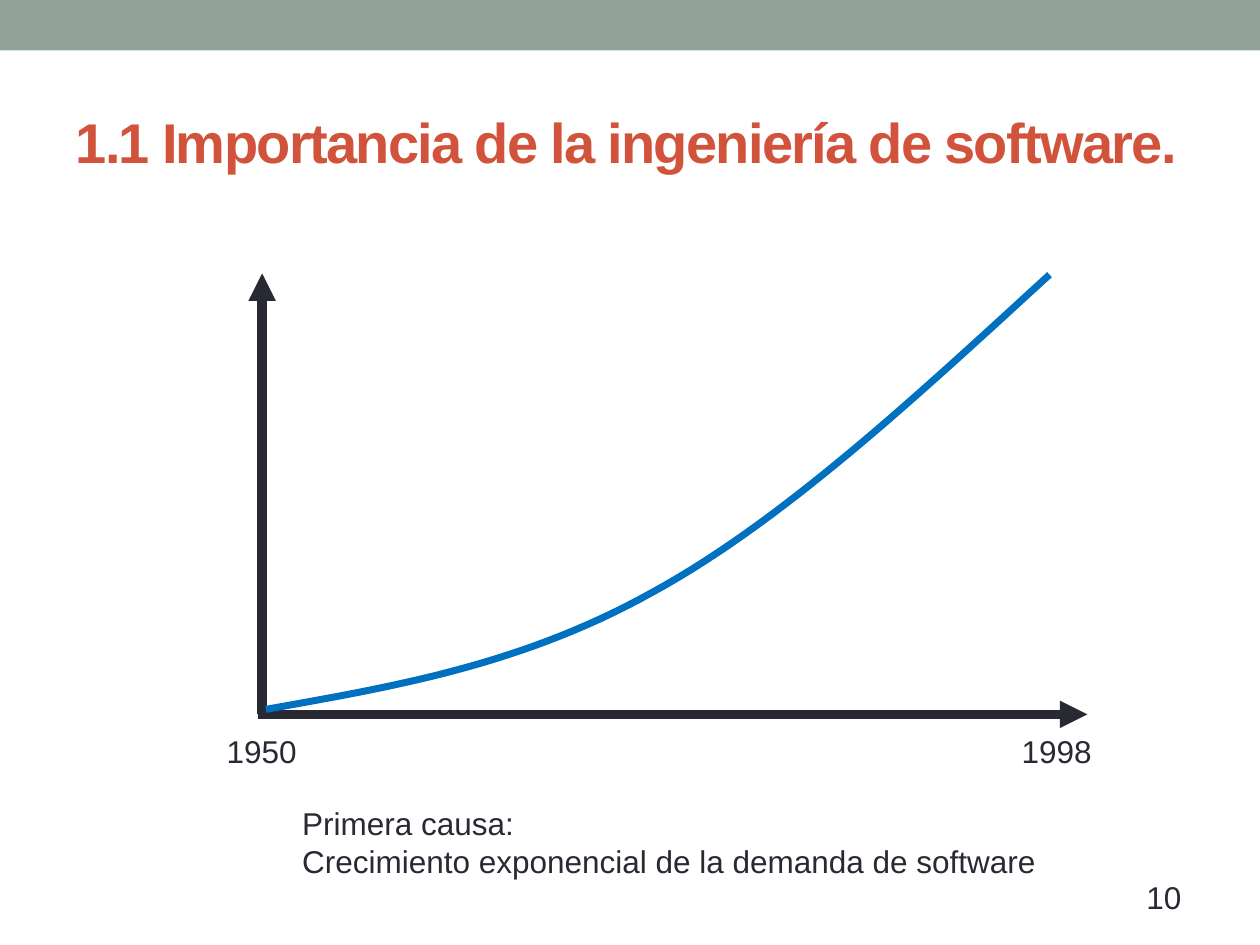
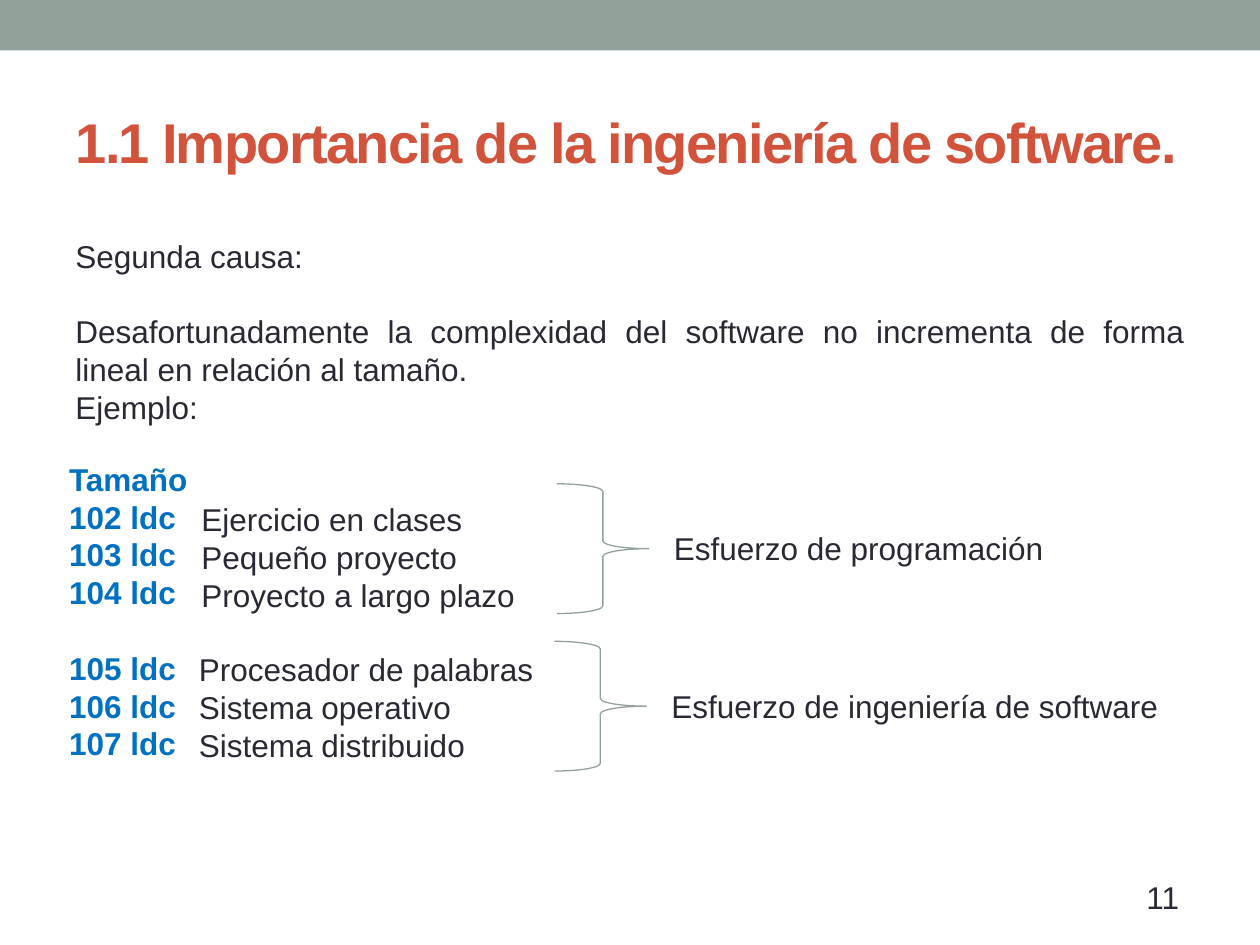
"""Build two slides on the importance of software engineering."""
from lxml.etree import SubElement
from pptx import Presentation
from pptx.dml.color import RGBColor
from pptx.enum.shapes import MSO_CONNECTOR, MSO_SHAPE
from pptx.enum.text import MSO_ANCHOR, MSO_AUTO_SIZE, PP_ALIGN
from pptx.oxml.ns import qn
from pptx.util import Inches, Pt

FONT = "Arial"
INK, SAGE, RUST, BLUE = "292934", "93A299", "D2533C", "0070C0"
TITLE = "1.1 Importancia de la ingeniería de software."
BLANK_LINE = 21.6


def color(hex_string):
    return RGBColor.from_string(hex_string)


def write(shape, text, size=18, fill=INK, bold=False, align=PP_ALIGN.LEFT,
          anchor=MSO_ANCHOR.TOP, gap_before=()):
    """Fill a shape with one paragraph per line; gap_before lists lines set apart."""
    frame = shape.text_frame
    frame.text = text
    frame.word_wrap = True
    frame.auto_size = MSO_AUTO_SIZE.NONE
    frame.vertical_anchor = anchor
    for index, paragraph in enumerate(frame.paragraphs):
        paragraph.alignment = align
        if index in gap_before:
            paragraph.space_before = Pt(BLANK_LINE)
        font = paragraph.runs[0].font
        font.name, font.size, font.bold = FONT, Pt(size), bold
        font.color.rgb = color(fill)


presentation = Presentation()
presentation.slide_width, presentation.slide_height = Inches(10), Inches(7.5)
layout = presentation.slide_layouts.get_by_name("Title Only")
slides = [presentation.slides.add_slide(layout) for _ in range(2)]
growth_slide, complexity_slide = slides

band = growth_slide.shapes.add_shape(
    MSO_SHAPE.RECTANGLE, 0, 0, Inches(10), Inches(0.4))
band.shadow.inherit = False
band.fill.solid()
band.fill.fore_color.rgb = color(SAGE)
band.line.fill.background()
layout.shapes.element.insert(2, band.element)

for number, slide in enumerate(slides, start=10):
    title = slide.shapes.title
    title.left, title.top = Inches(0.5), Inches(0.58)
    title.width, title.height = Inches(9), Inches(1.08)
    write(title, TITLE, size=32, fill=RUST, bold=True,
          align=PP_ALIGN.JUSTIFY, anchor=MSO_ANCHOR.MIDDLE)
    for properties in title.element.iter(qn("a:rPr")):
        properties.set("spc", "-100")
    page_number = slide.shapes.add_textbox(
        Inches(9), Inches(6.92), Inches(0.9), Inches(0.4))
    write(page_number, str(number))

for start_x, end_x, end_y in [(2.08, 2.08, 2.17), (2.05, 8.63, 5.67)]:
    axis = growth_slide.shapes.add_connector(
        MSO_CONNECTOR.STRAIGHT, Inches(start_x), Inches(5.67),
        Inches(end_x), Inches(end_y))
    axis.line.color.rgb = color(INK)
    axis.line.width = Pt(5.25)
    outline = next(axis.element.iter(qn("a:ln")))
    SubElement(outline, qn("a:tailEnd"), type="triangle")
    SubElement(outline.getparent(), qn("a:effectLst"))

for left, top, width, height, text in [
    (1.7, 5.76, 1, 0.4, "1950"),
    (8.01, 5.76, 1, 0.4, "1998"),
    (2.3, 6.33, 6.3, 0.71,
     "Primera causa:\nCrecimiento exponencial de la demanda de software"),
]:
    label = growth_slide.shapes.add_textbox(
        Inches(left), Inches(top), Inches(width), Inches(height))
    write(label, text)

curve_arcs = [
    [(2.11, 5.63), (3.12, 5.45), (4.14, 5.28), (5.18, 4.7)],
    [(5.18, 4.7), (6.22, 4.13), (7.27, 3.15), (8.33, 2.18)],
]
steps = 30
curve_points = []
for arc in curve_arcs:
    for step in range(1, steps + 1):
        t = step / steps
        weights = [(1 - t) ** 3, 3 * t * (1 - t) ** 2, 3 * t ** 2 * (1 - t), t ** 3]
        curve_points.append(tuple(
            Inches(sum(weight * value for weight, value in zip(weights, values)))
            for values in zip(*arc)))
start_x, start_y = curve_arcs[0][0]
builder = growth_slide.shapes.build_freeform(Inches(start_x), Inches(start_y))
builder.add_line_segments(curve_points, close=False)
demand_curve = builder.convert_to_shape()
demand_curve.shadow.inherit = False
demand_curve.fill.background()
demand_curve.line.color.rgb = color(BLUE)
demand_curve.line.width = Pt(4)

introduction = complexity_slide.shapes.add_textbox(
    Inches(0.5), Inches(1.83), Inches(9), Inches(1.62))
write(introduction,
      "Segunda causa:\n"
      "Desafortunadamente la complexidad del software no incrementa de forma "
      "lineal en relación al tamaño.\nEjemplo:",
      align=PP_ALIGN.JUSTIFY, gap_before=[1])

sizes = complexity_slide.shapes.add_textbox(
    Inches(0.45), Inches(3.6), Inches(1.25), Inches(2.52))
write(sizes,
      "Tamaño\n102 ldc\n103 ldc\n104 ldc\n105 ldc\n106 ldc\n107 ldc",
      fill=BLUE, bold=True, gap_before=[4])

for left, top, brace_top, examples, effort in [
    (1.5, 3.92, 3.84,
     "Ejercicio en clases\nPequeño proyecto\nProyecto a largo plazo",
     "Esfuerzo de programación"),
    (1.48, 5.11, 5.09,
     "Procesador de palabras\nSistema operativo\nSistema distribuido",
     "Esfuerzo de ingeniería de software"),
]:
    example_list = complexity_slide.shapes.add_textbox(
        Inches(left), Inches(top), Inches(3), Inches(1.01))
    write(example_list, examples)
    effort_group = complexity_slide.shapes.add_group_shape()
    brace = effort_group.shapes.add_shape(
        MSO_SHAPE.RIGHT_BRACE, Inches(left + 2.92), Inches(brace_top),
        Inches(0.73), Inches(1.03))
    brace.shadow.inherit = False
    brace.fill.background()
    brace.line.color.rgb = color(SAGE)
    brace.line.width = Pt(0.75)
    effort_label = effort_group.shapes.add_textbox(
        Inches(left + 3.75), Inches(brace_top + 0.31), Inches(4.3), Inches(0.4))
    write(effort_label, effort)

presentation.save("out.pptx")
